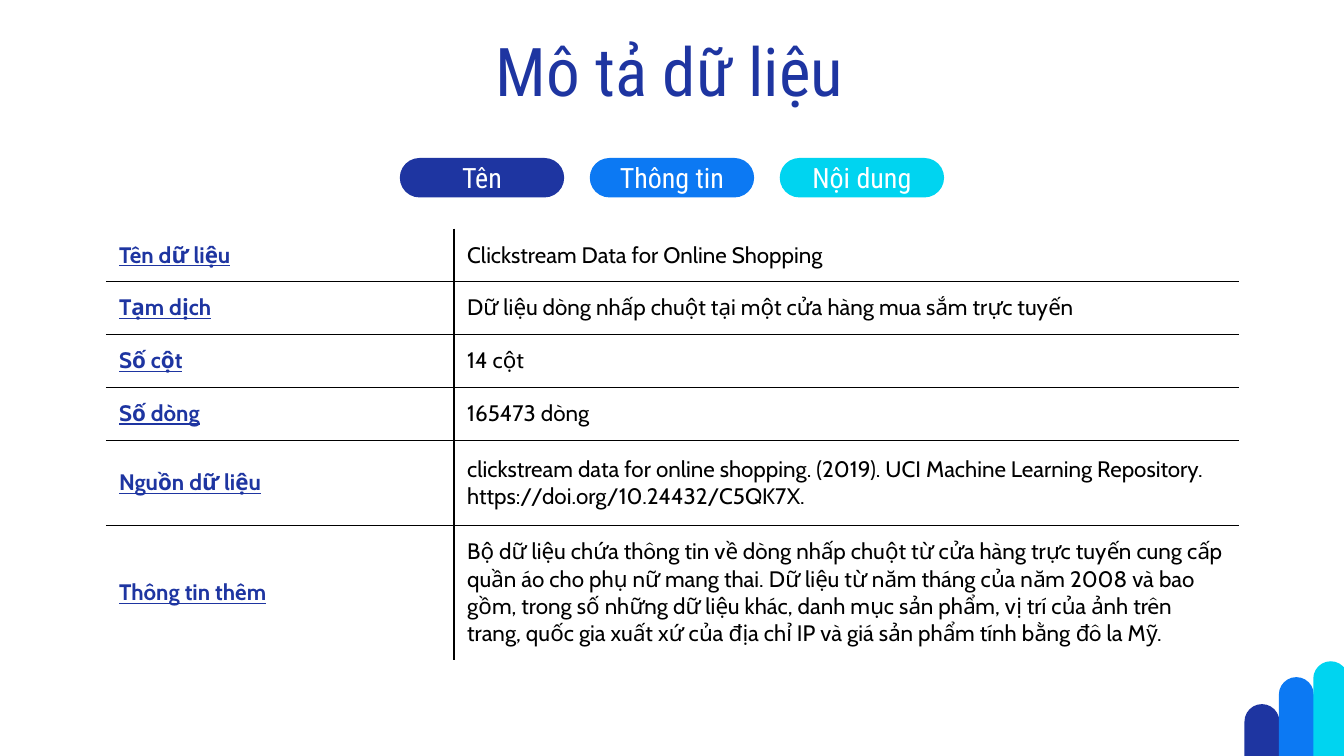
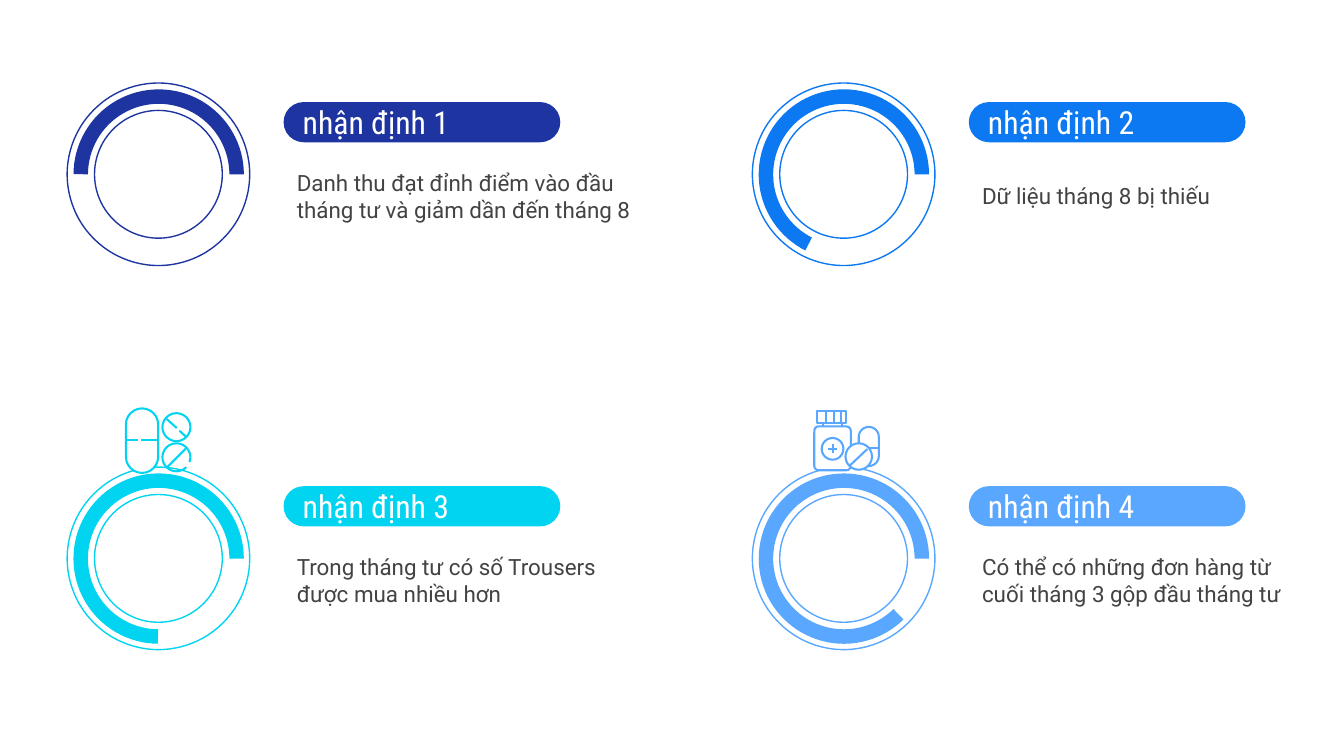
from lxml import etree
import pptx
import pptx.util
import pptx.dml.color
import pptx.enum.shapes
import pptx.enum.text
import pptx.oxml.ns

Cm, Pt = pptx.util.Cm, pptx.util.Pt
RGB = pptx.dml.color.RGBColor
SHAPE = pptx.enum.shapes.MSO_SHAPE
STRAIGHT = pptx.enum.shapes.MSO_CONNECTOR.STRAIGHT
ANCHOR = pptx.enum.text.MSO_ANCHOR
ALIGN = pptx.enum.text.PP_ALIGN
qn = pptx.oxml.ns.qn

NAVY = RGB(0x1E, 0x35, 0xA1)
BLUE = RGB(0x0C, 0x79, 0xF3)
CYAN = RGB(0x00, 0xD4, 0xF0)
SKY = RGB(0x59, 0xA7, 0xFF)
GRAY = RGB(0x43, 0x43, 0x43)
BLACK = RGB(0, 0, 0)
WHITE = RGB(255, 255, 255)
HEAD, BODY, CELL = "Roboto Condensed", "Roboto", "Cabin"
INSET = 0.25

TITLE = "Mô tả dữ liệu"
TABS = [("Tên", NAVY), ("Thông tin", BLUE), ("Nội dung", CYAN)]
BARS = [(1.02, NAVY), (1.53, BLUE), (1.83, CYAN)]
COLUMNS = [6.58, 14.83]
ROWS = [
    (1, "Tên dữ liệu", "Clickstream Data for Online Shopping"),
    (1, "Tạm dịch", "Dữ liệu dòng nhấp chuột tại một cửa hàng mua sắm trực tuyến"),
    (1, "Số cột", "14 cột"),
    (1, "Số dòng", "165473 dòng"),
    (1.61, "Nguồn dữ liệu",
     "clickstream data for online shopping. (2019). UCI Machine Learning "
     "Repository. https://doi.org/10.24432/C5QK7X."),
    (2.55, "Thông tin thêm",
     "Bộ dữ liệu chứa thông tin về dòng nhấp chuột từ cửa hàng trực tuyến "
     "cung cấp quần áo cho phụ nữ mang thai. Dữ liệu từ năm tháng của năm "
     "2008 và bao gồm, trong số những dữ liệu khác, danh mục sản phẩm, vị trí "
     "của ảnh trên trang, quốc gia xuất xứ của địa chỉ IP và giá sản phẩm tính "
     "bằng đô la Mỹ."),
]

FINDINGS = [
    ("nhận định 1", "Danh thu đạt đỉnh điểm vào đầu tháng tư và giảm dần đến tháng 8",
     NAVY, 180.2, 6.91),
    ("nhận định 2", "Dữ liệu tháng 8 bị thiếu", BLUE, 116.9, 5.23),
    ("nhận định 3", "Trong tháng tư có số Trousers được mua nhiều hơn",
     CYAN, 90.5, 6.25),
    ("nhận định 4", "Có thể có những đơn hàng từ cuối tháng 3 gộp đầu tháng tư",
     SKY, 45.6, 6.86),
]

PILLS_ICON = {
    "color": CYAN,
    "outlines": [
        (SHAPE.ROUNDED_RECTANGLE, 2.38, 7.72, 0.61, 1.22, [0.5]),
        (SHAPE.OVAL, 3.07, 7.81, 0.53, 0.53, []),
        (SHAPE.ARC, 3.07, 8.38, 0.53, 0.53, [45 * 0.6, 20 * 0.6]),
    ],
    "strokes": [
        (2.38, 8.32, 2.6, 8.32), (2.67, 8.32, 2.99, 8.32),
        (3.15, 7.92, 3.34, 8.09), (3.39, 8.14, 3.51, 8.25),
        (3.16, 8.83, 3.51, 8.48),
    ],
}
BOTTLE_ICON = {
    "color": SKY,
    "outlines": [
        (SHAPE.RECTANGLE, 15.45, 7.77, 0.54, 0.22, []),
        (SHAPE.RECTANGLE, 15.56, 7.99, 0.36, 0.08, []),
        (SHAPE.ROUNDED_RECTANGLE, 15.39, 8.06, 0.69, 0.83, [0.12]),
        (SHAPE.OVAL, 15.53, 8.28, 0.41, 0.41, []),
        (SHAPE.ROUNDED_RECTANGLE, 16.23, 8.07, 0.38, 0.74, [0.5]),
        (SHAPE.OVAL, 15.98, 8.38, 0.5, 0.5, []),
    ],
    "strokes": [
        (15.61, 7.77, 15.61, 7.99), (15.76, 7.77, 15.76, 7.99),
        (15.89, 7.77, 15.89, 7.99),
        (15.65, 8.48, 15.82, 8.48), (15.74, 8.39, 15.74, 8.57),
        (16.42, 8.46, 16.61, 8.46), (16.06, 8.8, 16.39, 8.49),
    ],
}


def write(tf, text, font, size, color, align=ALIGN.LEFT, anchor=ANCHOR.MIDDLE):
    """Fill a text frame with one formatted paragraph."""
    tf.text = text
    tf.word_wrap = True
    tf.auto_size = pptx.enum.text.MSO_AUTO_SIZE.NONE
    tf.vertical_anchor = anchor
    tf.margin_left = tf.margin_right = tf.margin_top = tf.margin_bottom = Cm(INSET)
    p = tf.paragraphs[0]
    p.alignment = align
    style(p, font, size, color)


def style(p, font, size, color):
    """Format every run of a paragraph."""
    for r in p.runs:
        r.font.name, r.font.size = font, Pt(size)
        r.font.color.rgb = color


def add_shape(shapes, kind, x, y, w, h, fill=None, line=None, adj=(), weight=0.75):
    """Add a flat preset shape."""
    sp = shapes.add_shape(kind, Cm(x), Cm(y), Cm(w), Cm(h))
    sp.shadow.inherit = False
    for i, value in enumerate(adj):
        sp.adjustments[i] = value
    if fill is None:
        sp.fill.background()
    else:
        sp.fill.solid()
        sp.fill.fore_color.rgb = fill
    if line is None:
        sp.line.fill.background()
    else:
        sp.line.color.rgb = line
        sp.line.width = Pt(weight)
    return sp


def add_pill(s, x, y, w, h, color, text, size, align, line=None):
    """Add a fully rounded label."""
    sp = add_shape(s.shapes, SHAPE.ROUNDED_RECTANGLE, x, y, w, h, color, line, [0.5])
    write(sp.text_frame, text, HEAD, size, WHITE, align)


def add_icon(s, icon):
    """Draw a line icon as one group."""
    shapes = s.shapes.add_group_shape().shapes
    for kind, x, y, w, h, adj in icon["outlines"]:
        fill = None if kind == SHAPE.ARC else WHITE
        add_shape(shapes, kind, x, y, w, h, fill, icon["color"], adj, 1.1)
    for ends in icon["strokes"]:
        c = shapes.add_connector(STRAIGHT, *map(Cm, ends))
        c.line.color.rgb = icon["color"]
        c.line.width = Pt(1.1)
        etree.SubElement(c._element.spPr, qn("a:effectLst"))


def set_borders(cell, inner):
    """Draw the inner sides of a cell and clear the outer ones."""
    tcPr = cell._tc.get_or_add_tcPr()
    for side in "LRTB":
        ln = etree.SubElement(tcPr, qn("a:ln" + side), w=str(Pt(0.75)))
        if side in inner:
            fill = etree.SubElement(ln, qn("a:solidFill"))
            etree.SubElement(fill, qn("a:srgbClr"), val=str(BLACK))
        else:
            etree.SubElement(ln, qn("a:noFill"))


def add_data_table(s):
    """Add the two-column description table."""
    heights = [row[0] for row in ROWS]
    table = s.shapes.add_table(len(ROWS), len(COLUMNS), Cm(2), Cm(4.32),
                               Cm(sum(COLUMNS)), Cm(sum(heights))).table
    table.first_row = table.horz_banding = False
    for column, width in zip(table.columns, COLUMNS):
        column.width = Cm(width)
    for i, (height, *texts) in enumerate(ROWS):
        table.rows[i].height = Cm(height)
        for j, text in enumerate(texts):
            cell = table.cell(i, j)
            cell.text = text
            cell.vertical_anchor = ANCHOR.MIDDLE
            cell.margin_left = cell.margin_right = Cm(INSET)
            cell.margin_top = cell.margin_bottom = 0
            p = cell.text_frame.paragraphs[0]
            style(p, CELL, 12, BLACK if j else NAVY)
            p.runs[0].font.bold = p.runs[0].font.underline = j == 0
            inner = "L" if j else "R"
            inner += "T" if i else ""
            inner += "B" if i < len(ROWS) - 1 else ""
            set_borders(cell, inner)
            cell.fill.background()


def build_description(prs):
    """Build the data description slide."""
    s = prs.slides.add_slide(prs.slide_layouts[5])
    title = s.shapes.title
    title.left, title.top, title.width, title.height = map(Cm, (9.12, 0.3, 7.49, 1.6))
    write(title.text_frame, TITLE, HEAD, 36, NAVY, anchor=ANCHOR.TOP)
    add_data_table(s)
    for i, (text, color) in enumerate(TABS):
        add_pill(s, 7.57 + 3.59 * i, 3, 3.08, 0.72, color, text, 15, ALIGN.CENTER, color)
    for i, (height, color) in enumerate(BARS):
        add_shape(s.shapes, SHAPE.ROUND_2_SAME_RECTANGLE, 23.52 + 0.65 * i,
                  14.33 - height, 0.66, height, color, adj=[0.5, 0])


def build_findings(prs):
    """Build the grid of four findings."""
    s = prs.slides.add_slide(prs.slide_layouts[6])
    for i, (label, text, color, start, width) in enumerate(FINDINGS):
        x, y = 1.27 + 12.95 * (i % 2), 1.57 + 7.26 * (i // 2)
        add_shape(s.shapes, SHAPE.DONUT, x, y, 3.45, 3.45, line=color, adj=[0.15])
        add_shape(s.shapes, SHAPE.BLOCK_ARC, x + 0.12, y + 0.12, 3.22, 3.22, color,
                  adj=[start * 0.6, 359.99 * 0.6, 0.085])
        box = s.shapes.add_textbox(Cm(x + 4.09), Cm(y + 1.17), Cm(width), Cm(1.93))
        write(box.text_frame, text, BODY, 12, GRAY)
        add_pill(s, x + 4.09, y + 0.36, 5.23, 0.76, color, label, 17, ALIGN.LEFT)
    for icon in (PILLS_ICON, BOTTLE_ICON):
        add_icon(s, icon)


def main():
    """Build and save the deck."""
    prs = pptx.Presentation()
    prs.slide_width, prs.slide_height = Cm(25.4), Cm(14.29)
    build_description(prs)
    build_findings(prs)
    prs.save("out.pptx")


if __name__ == "__main__":
    main()
